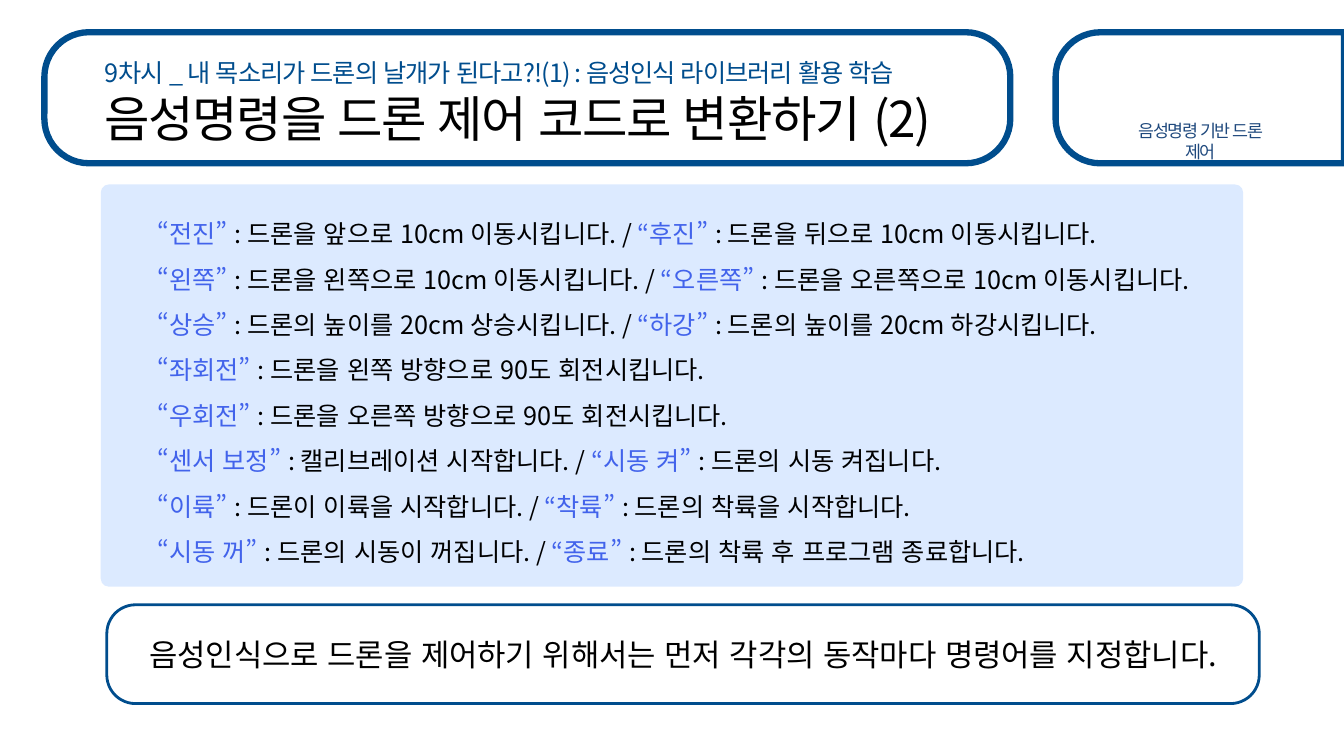
from lxml.etree import SubElement
from pptx import Presentation
from pptx.dml.color import RGBColor
from pptx.enum.lang import MSO_LANGUAGE_ID as Language
from pptx.enum.shapes import MSO_SHAPE as Shape
from pptx.enum.text import MSO_ANCHOR as Anchor, MSO_AUTO_SIZE as AutoSize, PP_ALIGN as Align
from pptx.oxml.ns import qn
from pptx.util import Inches, Pt

FONT = "Noto Sans CJK KR"
NAVY, BLACK, WHITE = "004D8D", "000000", "FFFFFF"
SLATE, BLUE, PALE = "1F497D", "4263EB", "DCEAFF"

LESSON = [
    ("9차시 _ ", -1),
    ("내 목소리가 드론의 날개가 된다고?!(1) : 음성인식 라이브러리 활용 학습", -0.7),
]
TITLE = "음성명령을 드론 제어 코드로 변환하기 (2)"
TOPIC = "음성명령 기반 드론 제어"
SUMMARY = "음성인식으로 드론을 제어하기 위해서는 먼저 각각의 동작마다 명령어를 지정합니다."
COMMAND_ROWS = [
    [("전진", "드론을 앞으로 10cm 이동시킵니다."), ("후진", "드론을 뒤으로 10cm 이동시킵니다.")],
    [("왼쪽", "드론을 왼쪽으로 10cm 이동시킵니다."), ("오른쪽", "드론을 오른쪽으로 10cm 이동시킵니다.")],
    [("상승", "드론의 높이를 20cm 상승시킵니다."), ("하강", "드론의 높이를 20cm 하강시킵니다.")],
    [("좌회전", "드론을 왼쪽 방향으로 90도 회전시킵니다.")],
    [("우회전", "드론을 오른쪽 방향으로 90도 회전시킵니다.")],
    [("센서 보정", "캘리브레이션 시작합니다."), ("시동 켜", "드론의 시동 켜집니다.")],
    [("이륙", "드론이 이륙을 시작합니다."), ("착륙", "드론의 착륙을 시작합니다.")],
    [("시동 꺼", "드론의 시동이 꺼집니다."), ("종료", "드론의 착륙 후 프로그램 종료합니다.")],
]


def color(value):
    return RGBColor.from_string(value)


def place(shape, left, top, width, height):
    bounds = {"left": left, "top": top, "width": width, "height": height}
    for name, value in bounds.items():
        setattr(shape, name, Inches(value))


def add_panel(page, kind, bounds, corner, fill, line_width=0):
    panel = page.shapes.add_shape(kind, *map(Inches, bounds))
    panel.shadow.inherit = False
    panel.adjustments[0] = corner
    panel.fill.solid()
    panel.fill.fore_color.rgb = color(fill)
    if line_width:
        panel.line.color.rgb = color(NAVY)
        panel.line.width = Pt(line_width)
    else:
        panel.line.fill.background()
    return panel


def set_frame(box, anchor):
    settings = {
        "word_wrap": True, "auto_size": AutoSize.NONE, "vertical_anchor": anchor,
        "margin_left": Inches(0.1), "margin_right": Inches(0.1),
        "margin_top": Inches(0.05), "margin_bottom": Inches(0.05),
    }
    for name, value in settings.items():
        setattr(box.text_frame, name, value)


def write(para, spans, size, align=Align.LEFT, line_spacing=1.0):
    """Fill a paragraph with (text, colour, letter spacing in points) spans."""
    properties = para._p.get_or_add_pPr()
    properties.set("marL", "0")
    properties.set("indent", "0")
    SubElement(properties, qn("a:buNone"))
    para.alignment = align
    para.line_spacing = line_spacing
    para.space_before = Pt(0)
    for text, ink, tracking in spans:
        span = para.add_run()
        span.text = text
        span.font.size = Pt(size)
        span.font.name = FONT
        span.font.language_id = Language.KOREAN
        span.font.color.rgb = color(ink)
        run_properties = span._r.get_or_add_rPr()
        SubElement(run_properties, qn("a:ea"), typeface=FONT)
        if tracking:
            run_properties.set("spc", str(round(tracking * 100)))


def command_spans(commands):
    spans = []
    for number, (word, action) in enumerate(commands, 1):
        separator = " / " if number < len(commands) else ""
        spans += [(f"“{word}” ", BLUE, 0), (f": {action}{separator}", BLACK, 0)]
    return spans


def main():
    deck = Presentation()
    deck.slide_width, deck.slide_height = Inches(13.33), Inches(7.5)
    page = deck.slides.add_slide(deck.slide_layouts[1])
    title, commands = page.placeholders

    # The tab is an upright shape turned on its side, so its box is centred on the tab.
    tab_left, tab_top, tab_width, tab_height = 10.47, 0.32, 2.86, 1.3
    shift = (tab_width - tab_height) / 2
    tab = add_panel(page, Shape.ROUND_2_SAME_RECTANGLE,
                    (tab_left + shift, tab_top - shift, tab_height, tab_width), 0.34, WHITE, 4.5)
    tab.rotation = 270
    add_panel(page, Shape.ROUNDED_RECTANGLE, (0.44, 0.32, 9.58, 1.3), 0.34, WHITE, 4.5)
    summary = add_panel(page, Shape.ROUNDED_RECTANGLE, (1.06, 6, 11.43, 0.98), 0.29, WHITE, 2)
    add_panel(page, Shape.ROUNDED_RECTANGLE, (1, 1.83, 11.33, 3.99), 0.02, PALE)

    lesson = page.shapes.add_textbox(*map(Inches, (0.94, 0.52, 8.89, 0.31)))
    topic = page.shapes.add_textbox(*map(Inches, (11.06, 1.14, 1.69, 0.39)))
    place(title, 0.94, 0.82, 8.89, 0.59)
    place(commands, 1.46, 1.93, 10.53, 3.78)
    for placeholder in (title, commands):
        page.shapes.element.append(placeholder.element)

    lesson_spans = [(text, NAVY, tracking) for text, tracking in LESSON]
    for box, spans, size, align, anchor in [
        (lesson, lesson_spans, 18, Align.LEFT, Anchor.TOP),
        (title, [(TITLE, BLACK, -1)], 35.3, Align.LEFT, Anchor.TOP),
        (topic, [(TOPIC, SLATE, -1)], 12.4, Align.CENTER, Anchor.TOP),
        (summary, [(SUMMARY, BLACK, 0)], 22, Align.CENTER, Anchor.MIDDLE),
    ]:
        set_frame(box, anchor)
        write(box.text_frame.paragraphs[0], spans, size, align)

    set_frame(commands, Anchor.MIDDLE)
    frame = commands.text_frame
    for number, row in enumerate(COMMAND_ROWS):
        para = frame.add_paragraph() if number else frame.paragraphs[0]
        write(para, command_spans(row), 18, line_spacing=1.5)

    deck.save("out.pptx")


if __name__ == "__main__":
    main()
